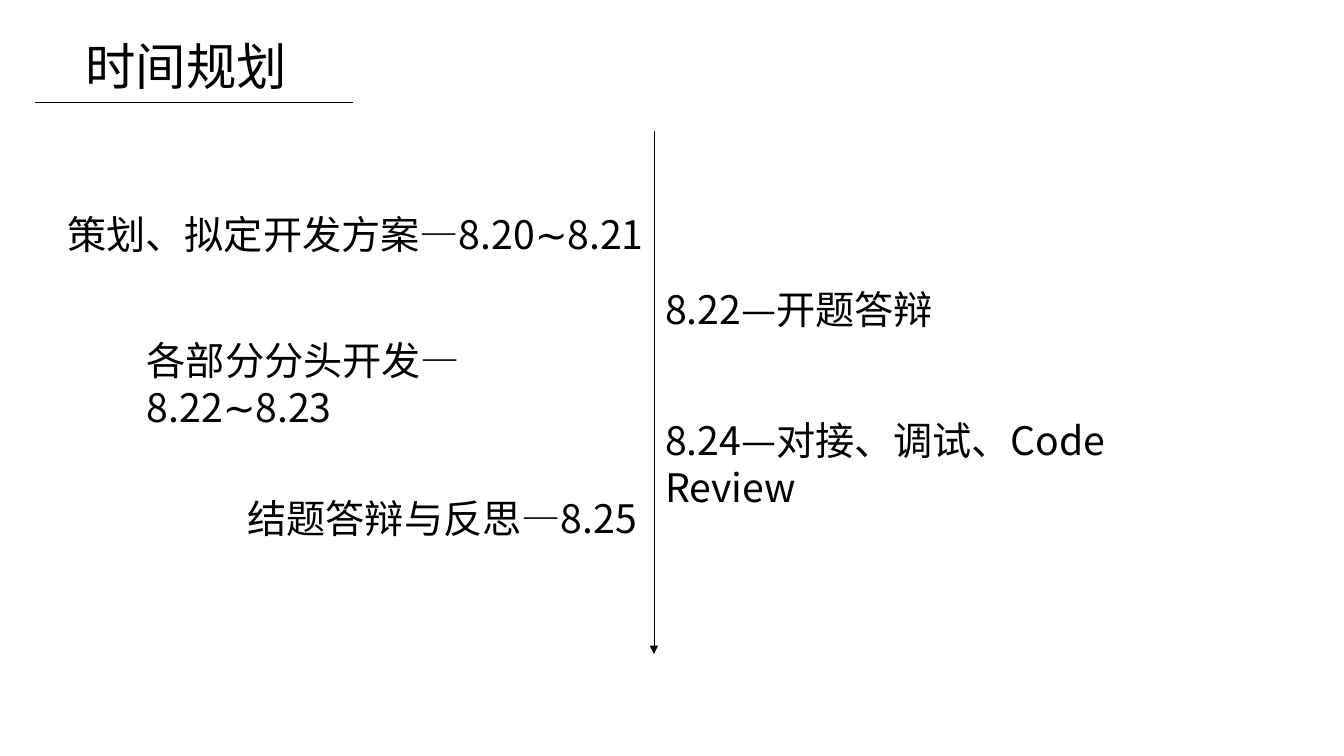
from lxml import etree
from pptx import Presentation
from pptx.dml.color import RGBColor
from pptx.enum.shapes import MSO_CONNECTOR
from pptx.enum.text import MSO_ANCHOR, MSO_AUTO_SIZE, PP_ALIGN
from pptx.oxml.ns import qn
from pptx.util import Cm, Pt

LINE = MSO_CONNECTOR.STRAIGHT
TOP = MSO_ANCHOR.TOP
LEFT = PP_ALIGN.LEFT
FIT = MSO_AUTO_SIZE.NONE


def color(code):
    return RGBColor.from_string(code)


class Deck:
    font = "Noto Sans CJK SC"
    ink = "000000"

    def __init__(self):
        self.prs = Presentation()
        self.prs.slide_width, self.prs.slide_height = Cm(33.87), Cm(19.05)
        self.slide = self.prs.slides.add_slide(self.prs.slide_layouts[5])

    def style(self, shape, text, size):
        frame = shape.text_frame
        frame.word_wrap = True
        frame.auto_size = FIT
        frame.vertical_anchor = TOP
        frame.text = text
        para = frame.paragraphs[0]
        para.alignment = LEFT
        para.font.name = self.font
        para.font.size = Pt(size)
        para.font.color.rgb = color(self.ink)
        # East Asian typeface follows the Latin one
        latin = next(para._p.iter(qn("a:latin")))
        face = etree.Element(qn("a:ea"), typeface=self.font)
        latin.addnext(face)

    def title(self, text, x, y, w, h):
        shape = self.slide.shapes.title
        shape.left, shape.top, shape.width, shape.height = Cm(x), Cm(y), Cm(w), Cm(h)
        self.style(shape, text, 36)

    def label(self, text, x, y, w):
        box = self.slide.shapes.add_textbox(Cm(x), Cm(y), Cm(w), Cm(1.45))
        self.style(box, text, 28)

    def line(self, x1, y1, x2, y2, arrow=False):
        line = self.slide.shapes.add_connector(LINE, Cm(x1), Cm(y1), Cm(x2), Cm(y2))
        line.line.color.rgb = color(self.ink)
        line.line.width = Pt(0.5)
        if arrow:
            etree.SubElement(line.line._get_or_add_ln(), qn("a:tailEnd"), type="triangle")
        etree.SubElement(line._element.spPr, qn("a:effectLst"))


def main():
    deck = Deck()

    # Heading with its rule
    deck.title("时间规划", 1.9, 0.76, 5.97, 1.8)
    deck.line(0.89, 2.57, 8.89, 2.57)

    # Time axis
    axis = 16.48
    deck.line(axis, 3.3, axis, 16.48, arrow=True)

    # Stages left of the axis, each ending at it
    for text, x, y in (
        ("策划、拟定开发方案—8.20∼8.21", 1.45, 5.18),
        ("各部分分头开发—8.22∼8.23", 3.45, 8.36),
        ("结题答辩与反思—8.25", 5.99, 12.34),
    ):
        deck.label(text, x, y, axis - x)

    # Stages right of the axis
    for text, y, w in (
        ("8.22—开题答辩", 7.06, 7.5),
        ("8.24—对接、调试、Code Review", 10.36, 14.99),
    ):
        deck.label(text, axis + 0.03, y, w)

    deck.prs.save("out.pptx")


if __name__ == "__main__":
    main()
